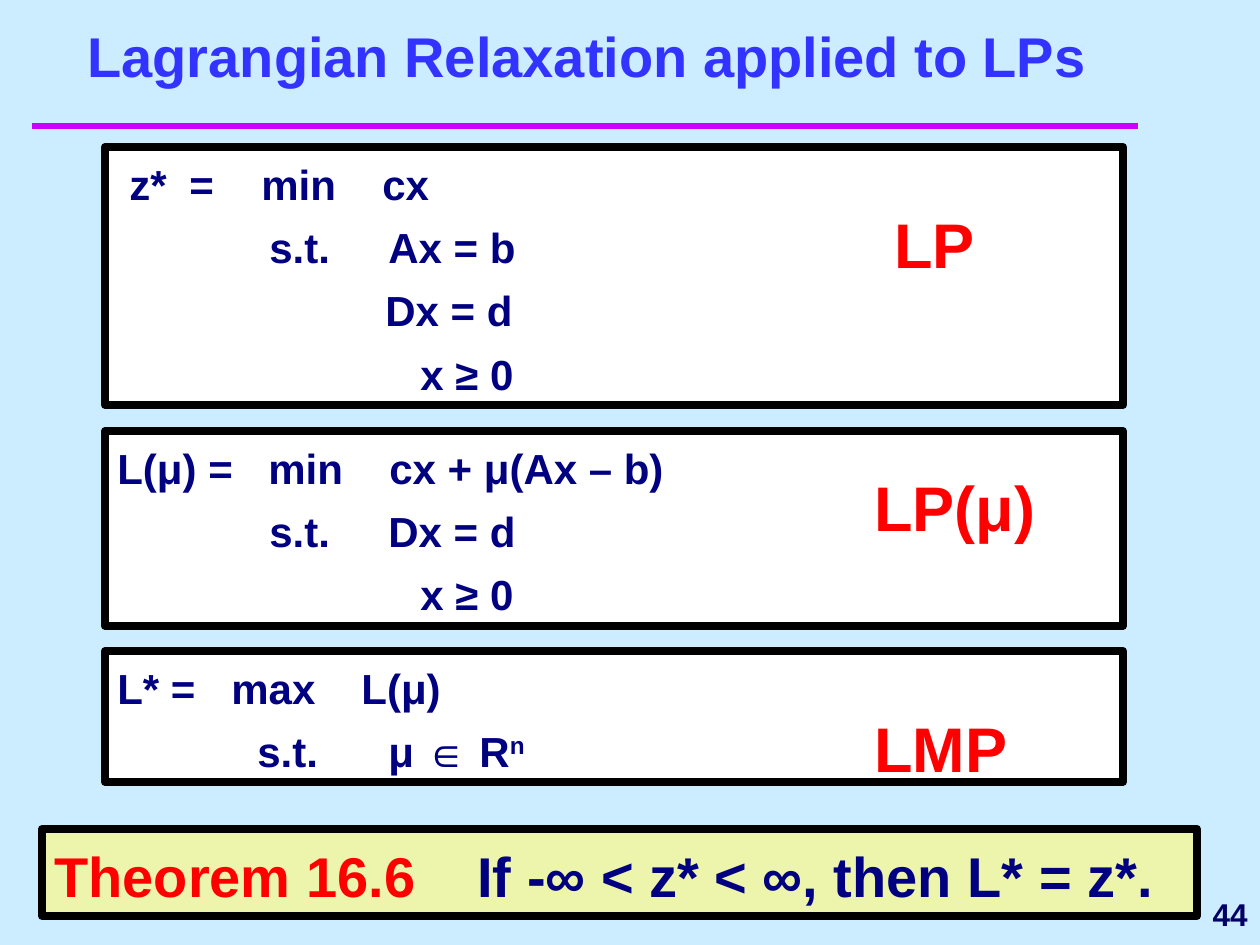
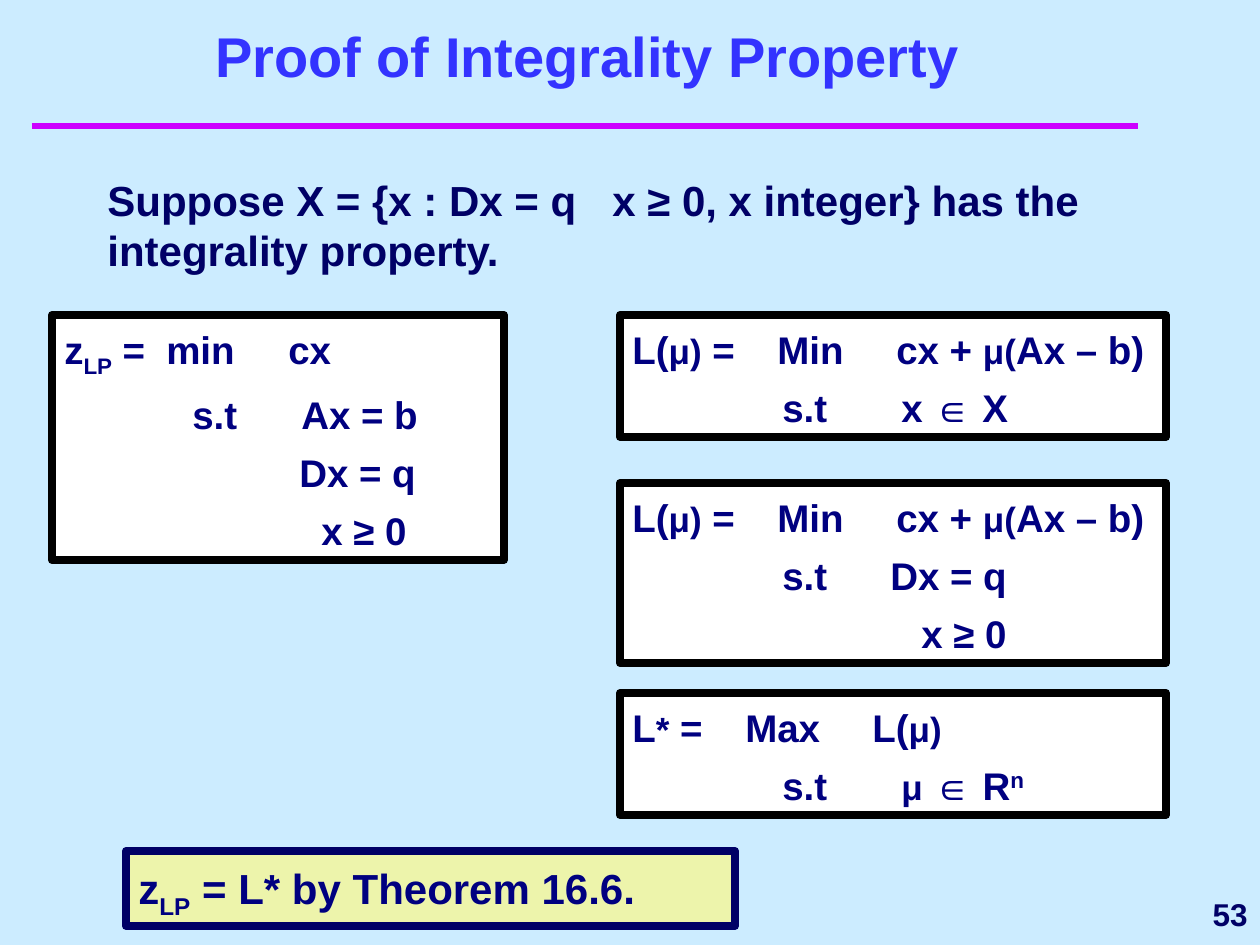
from lxml import etree
from pptx import Presentation
from pptx.dml.color import RGBColor
from pptx.enum.shapes import MSO_CONNECTOR, MSO_SHAPE
from pptx.enum.text import MSO_ANCHOR, MSO_AUTO_SIZE, PP_ALIGN
from pptx.oxml.ns import qn
from pptx.util import Emu, Pt

STRAIGHT = MSO_CONNECTOR.STRAIGHT
RECTANGLE = MSO_SHAPE.RECTANGLE
TOP, MIDDLE, BOTTOM = MSO_ANCHOR.TOP, MSO_ANCHOR.MIDDLE, MSO_ANCHOR.BOTTOM
FIT, FIXED = MSO_AUTO_SIZE.SHAPE_TO_FIT_TEXT, MSO_AUTO_SIZE.NONE
LEFT, CENTER, RIGHT = PP_ALIGN.LEFT, PP_ALIGN.CENTER, PP_ALIGN.RIGHT

PX = 914400 / 126
WIDTH, HEIGHT = 1260, 945
FONT = "Arial"
SKY, PURPLE, BLUE, RED = "CCECFF", "CC00FF", "3333FF", "FF0000"
NAVY, INK, BLACK, WHITE, LEMON = "000080", "000066", "000000", "FFFFFF", "EDF4AB"

SUPERSCRIPT = {"baseline": 30000}
SUBSCRIPT = {"baseline": -25000}
SMALL = {"size": 20}

TITLE = {"size": 32, "color": BLUE, "align": CENTER, "anchor": BOTTOM, "fit": FIXED}
NUMBER = {"size": 18, "color": INK, "align": RIGHT, "anchor": MIDDLE, "fit": FIXED, "wrap": False}
LABEL = {"size": 36, "color": RED, "wrap": False}
STATEMENT = {"size": 24, "color": INK, "before": 15}
MODEL = {"size": 24, "color": NAVY, "before": 4.5, "spacing": 1.1, "fill": WHITE, "line": BLACK}
SMALL_MODEL = {**MODEL, "size": 22, "before": 4.1}
THEOREM = {**MODEL, "size": 32, "before": 6, "fill": LEMON}
CONCLUSION = {**MODEL, "fill": LEMON, "line": INK}

MU_OPEN, MU_CLOSE = ("μ(", SMALL), ("μ)", SMALL)
POWER_N = ("n", SUPERSCRIPT)
LP_INDEX = ("LP", SUBSCRIPT)
RELAXED_OBJECTIVE = [(0, "L(", MU_CLOSE, " ="), (145, "Min"), (264, "cx + ", MU_OPEN, "Ax – b)")]

# Each row is a list of cells: offset inside the box, then the runs.
SLIDES = [
    {
        "title": "Lagrangian Relaxation applied to LPs",
        "number": "44",
        "parts": [
            ((105, 147, 1018, 258), MODEL, [
                [(12, "z*"), (72, "="), (144, "min"), (265, "cx")],
                [(152, "s.t."), (271, "Ax = b")],
                [(268, "Dx = d")],
                [(303, "x ≥ 0")],
            ]),
            ((105, 431, 1018, 195), MODEL, [
                [(0, "L(μ) ="), (151, "min"), (272, "cx + μ(Ax – b)")],
                [(152, "s.t."), (271, "Dx = d")],
                [(303, "x ≥ 0")],
            ]),
            ((105, 651, 1018, 131), MODEL, [
                [(0, "L* ="), (114, "max"), (244, "L(μ)")],
                [(140, "s.t."), (271, "μ ∈ R", POWER_N)],
            ]),
            ((882, 199, 106, 88), LABEL, [[(0, "LP")]]),
            ((862, 462, 186, 88), LABEL, [[(0, "LP(μ)")]]),
            ((862, 703, 158, 88), LABEL, [[(0, "LMP")]]),
            ((42, 829, 1155, 87), THEOREM, [
                [(0, ("Theorem 16.6", {"color": RED})), (423, "If -∞ < z* < ∞, then L* = z*.")],
            ]),
        ],
    },
    {
        "title": "Proof of Integrality Property",
        "number": "53",
        "parts": [
            ((95, 168, 1102, 113), STATEMENT, [
                [(0, "Suppose X = {x : Dx = q"),
                 (505, "x ≥ 0, x integer} has the integrality property.")],
            ]),
            ((620, 315, 546, 122), SMALL_MODEL, [
                RELAXED_OBJECTIVE,
                [(150, "s.t"), (269, "x ∈ X")],
            ]),
            ((620, 483, 546, 180), SMALL_MODEL, [
                RELAXED_OBJECTIVE,
                [(150, "s.t"), (258, "Dx = q")],
                [(289, "x ≥ 0")],
            ]),
            ((620, 693, 546, 122), SMALL_MODEL, [
                [(0, "L", ("*", SMALL), " ="), (113, "Max"), (240, "L(", MU_CLOSE)],
                [(150, "s.t"), (269, ("μ", SMALL), " ∈ R", POWER_N)],
            ]),
            ((52, 315, 452, 245), SMALL_MODEL, [
                [(0, "z", LP_INDEX, " ="), (102, "min"), (224, "cx")],
                [(128, "s.t"), (237, "Ax = b")],
                [(235, "Dx = q")],
                [(257, "x ≥ 0")],
            ]),
            ((126, 851, 609, 75), CONCLUSION, [
                [(0, "z", LP_INDEX, " = L* by Theorem 16.6.")],
            ]),
        ],
    },
]


def px(length):
    return Emu(round(length * PX))


def rgb(color):
    return RGBColor.from_string(color)


def add_run(paragraph, text, style):
    run = paragraph.add_run()
    run.text = text
    font = {"name": FONT, "bold": True, "size": Pt(style["size"])}
    for name, value in font.items():
        setattr(run.font, name, value)
    run.font.color.rgb = rgb(style["color"])
    if "baseline" in style:
        run.font._element.set("baseline", str(style["baseline"]))


def add_tab_stops(paragraph, offsets):
    tab_list = etree.SubElement(paragraph._p.get_or_add_pPr(), qn("a:tabLst"))
    for offset in offsets:
        etree.SubElement(tab_list, qn("a:tab"), pos=str(px(offset)), algn="l")


def fill_row(paragraph, cells, style):
    layout = {
        "alignment": style.get("align", LEFT),
        "line_spacing": style.get("spacing", 1.0),
        "space_before": Pt(style.get("before", 0)),
    }
    for name, value in layout.items():
        setattr(paragraph, name, value)
    offsets = [cell[0] for cell in cells if cell[0]]
    if offsets:
        add_tab_stops(paragraph, offsets)
    for offset, *runs in cells:
        if offset:
            add_run(paragraph, "\t", style)
        for run in runs:
            text, changes = (run, {}) if isinstance(run, str) else run
            add_run(paragraph, text, {**style, **changes})


def add_part(slide, box, style, rows):
    place = [px(length) for length in box]
    if "fill" in style:
        shape = slide.shapes.add_shape(RECTANGLE, *place)
        shape.shadow.inherit = False
        shape.fill.solid()
        shape.fill.fore_color.rgb = rgb(style["fill"])
        shape.line.color.rgb = rgb(style["line"])
        shape.line.width = Pt(4.5)
    else:
        shape = slide.shapes.add_textbox(*place)
    frame = shape.text_frame
    settings = {
        "word_wrap": style.get("wrap", True),
        "auto_size": style.get("fit", FIT),
        "vertical_anchor": style.get("anchor", TOP),
    }
    for name, value in settings.items():
        setattr(frame, name, value)
    for index, cells in enumerate(rows):
        paragraph = frame.add_paragraph() if index else frame.paragraphs[0]
        fill_row(paragraph, cells, style)


def add_title_rule(slide):
    rule = slide.shapes.add_connector(STRAIGHT, px(32), px(126), px(1138), px(126))
    rule.line.color.rgb = rgb(PURPLE)
    rule.line.width = Pt(4)
    etree.SubElement(rule._element.spPr, qn("a:effectLst"))


def build_slide(presentation, content):
    slide = presentation.slides.add_slide(presentation.slide_layouts[6])
    slide.background.fill.solid()
    slide.background.fill.fore_color.rgb = rgb(SKY)
    add_title_rule(slide)
    add_part(slide, (1061, 882, 199, 63), NUMBER, [[(0, content["number"])]])
    add_part(slide, (52, 42, 1071, 53), TITLE, [[(0, content["title"])]])
    for box, style, rows in content["parts"]:
        add_part(slide, box, style, rows)


def main():
    presentation = Presentation()
    presentation.slide_width, presentation.slide_height = px(WIDTH), px(HEIGHT)
    for content in SLIDES:
        build_slide(presentation, content)
    presentation.save("out.pptx")


if __name__ == "__main__":
    main()
